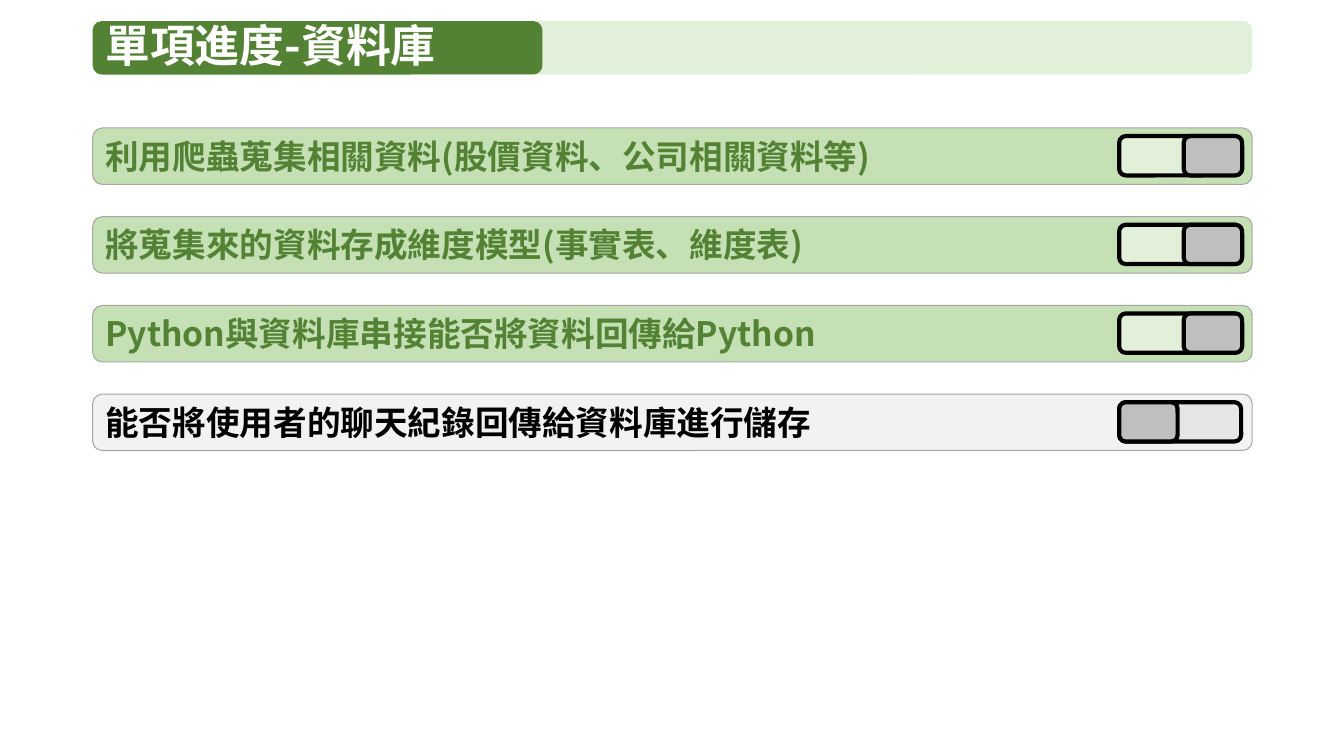
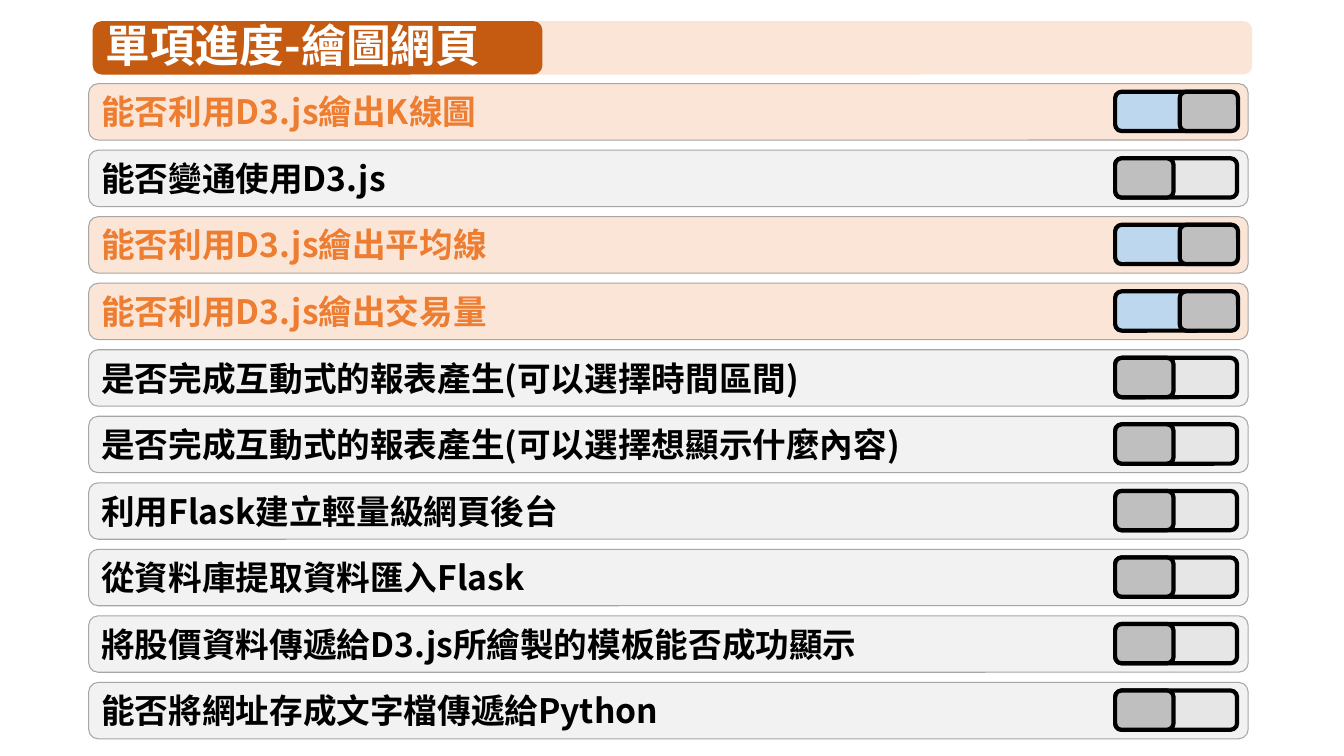
from pptx import Presentation
from pptx.dml.color import RGBColor
from pptx.enum.shapes import MSO_SHAPE as Shape
from pptx.enum.text import MSO_ANCHOR as Anchor, MSO_AUTO_SIZE as AutoSize, PP_ALIGN as Align
from pptx.oxml.ns import qn
from pptx.util import Inches, Pt
from lxml.etree import SubElement

FONT = "Noto Sans CJK SC"
BLACK, WHITE = "000000", "FFFFFF"
KNOB, ROW_LINE = "BFBFBF", "A6A6A6"
OPEN = {"row": "F2F2F2", "text": BLACK, "track": "E7E6E6"}

SLIDES = [
    {
        "title": "單項進度-資料庫",
        "band": "E2F0D9", "tab": "548235",
        "done": {"row": "C5E0B4", "text": "548235", "track": "E2F0D9"},
        "left": 0.92, "top": 1.27, "pitch": 0.88,
        "tasks": [
            ("利用爬蟲蒐集相關資料(股價資料、公司相關資料等)", True),
            ("將蒐集來的資料存成維度模型(事實表、維度表)", True),
            ("Python與資料庫串接能否將資料回傳給Python", True),
            ("能否將使用者的聊天紀錄回傳給資料庫進行儲存", False),
        ],
    },
    {
        "title": "單項進度-繪圖網頁",
        "band": "FBE5D6", "tab": "C55A11",
        "done": {"row": "FBE5D6", "text": "ED7D31", "track": "BDD7EE"},
        "left": 0.88, "top": 0.83, "pitch": 0.66,
        "tasks": [
            ("能否利用D3.js繪出K線圖", True),
            ("能否變通使用D3.js", False),
            ("能否利用D3.js繪出平均線", True),
            ("能否利用D3.js繪出交易量", True),
            ("是否完成互動式的報表產生(可以選擇時間區間)", False),
            ("是否完成互動式的報表產生(可以選擇想顯示什麼內容)", False),
            ("利用Flask建立輕量級網頁後台", False),
            ("從資料庫提取資料匯入Flask", False),
            ("將股價資料傳遞給D3.js所繪製的模板能否成功顯示", False),
            ("能否將網址存成文字檔傳遞給Python", False),
        ],
    },
]

WIDTH, ROW_HEIGHT = 11.5, 0.56
BAND_LEFT, BAND_TOP, BAND_HEIGHT, TAB_WIDTH = 0.92, 0.21, 0.53, 4.46
TRACK_WIDTH, KNOB_WIDTH, TOGGLE_HEIGHT = 1.21, 0.58, 0.39
TOGGLE_INDENT, TOGGLE_DROP, KNOB_SHIFT = 10.18, 0.08, 0.64


def color(value):
    return RGBColor.from_string(value)


def add_bar(parent, left, top, width, height, fill, line=None, weight=0.75):
    box = parent.shapes.add_shape(
        Shape.ROUNDED_RECTANGLE, Inches(left), Inches(top), Inches(width), Inches(height))
    box.shadow.inherit = False
    box.fill.solid()
    box.fill.fore_color.rgb = color(fill)
    if line:
        box.line.color.rgb = color(line)
        box.line.width = Pt(weight)
    else:
        box.line.fill.background()
    return box


def write(box, text, size, fill, anchor=Anchor.TOP, spacing=None, fit=AutoSize.NONE):
    frame = box.text_frame
    frame.word_wrap = True
    frame.auto_size = fit
    frame.vertical_anchor = anchor
    para = frame.paragraphs[0]
    para.alignment = Align.LEFT
    if spacing:
        para.line_spacing = spacing
    span = para.add_run()
    span.text = text
    span.font.size = Pt(size)
    span.font.bold = True
    span.font.color.rgb = color(fill)
    span.font.name = FONT
    SubElement(span.font._element, qn("a:ea"), typeface=FONT)


def add_header(page, title, band, tab):
    add_bar(page, BAND_LEFT, BAND_TOP, WIDTH, BAND_HEIGHT, band)
    box = add_bar(page, BAND_LEFT, BAND_TOP, TAB_WIDTH, BAND_HEIGHT, tab)
    write(box, title, 32, WHITE, anchor=Anchor.MIDDLE, spacing=0.9)


def add_toggle(page, left, top, track, done):
    toggle = page.shapes.add_group_shape()
    add_bar(toggle, left, top, TRACK_WIDTH, TOGGLE_HEIGHT, track, BLACK, 3)
    knob_left = left + (KNOB_SHIFT if done else 0)
    add_bar(toggle, knob_left, top, KNOB_WIDTH, TOGGLE_HEIGHT, KNOB, BLACK, 3)


def add_task(page, left, top, text, done, style):
    row = add_bar(page, left, top, WIDTH, ROW_HEIGHT, style["row"], ROW_LINE)
    write(row, text, 24, style["text"], fit=AutoSize.SHAPE_TO_FIT_TEXT)
    add_toggle(page, left + TOGGLE_INDENT, top + TOGGLE_DROP, style["track"], done)


def main():
    deck = Presentation()
    deck.slide_width, deck.slide_height = Inches(13.33), Inches(7.5)
    for content in SLIDES:
        page = deck.slides.add_slide(deck.slide_layouts[6])
        add_header(page, content["title"], content["band"], content["tab"])
        for index, (text, done) in enumerate(content["tasks"]):
            top = content["top"] + index * content["pitch"]
            style = content["done"] if done else OPEN
            add_task(page, content["left"], top, text, done, style)
    deck.save("out.pptx")


if __name__ == "__main__":
    main()
